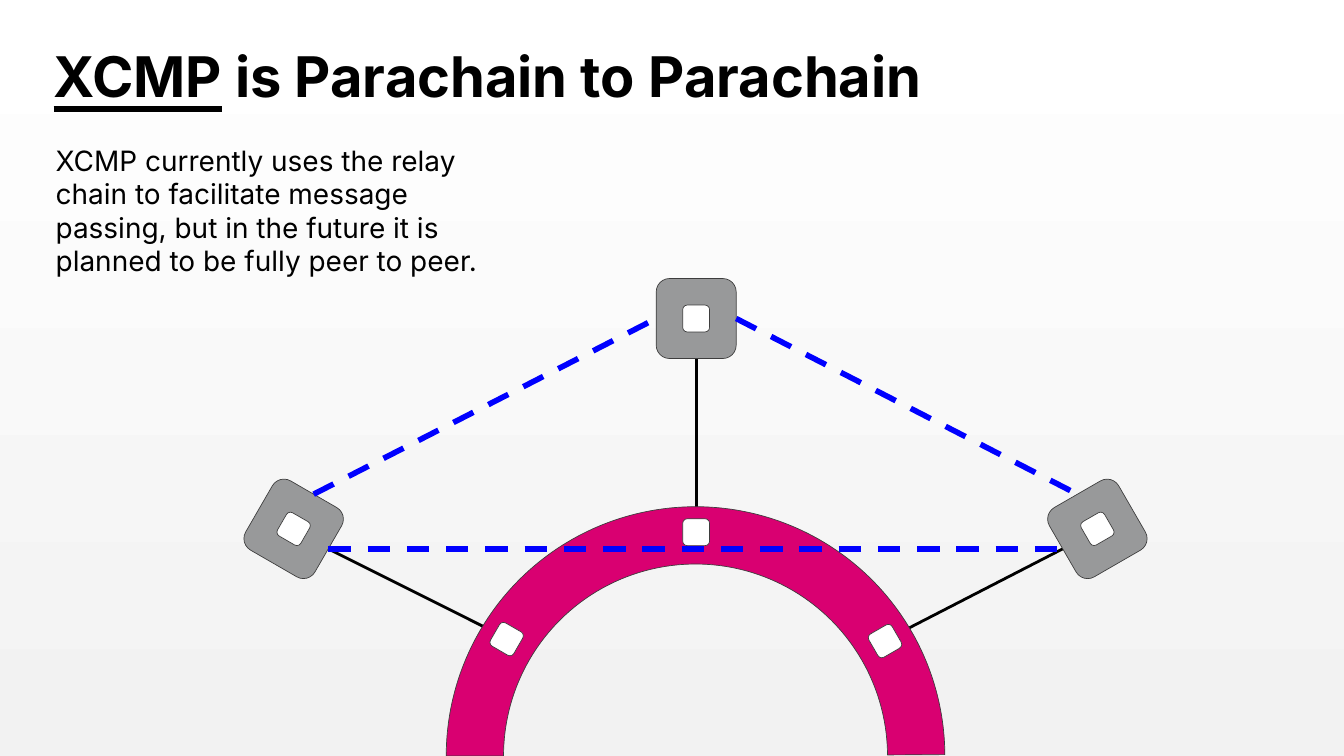
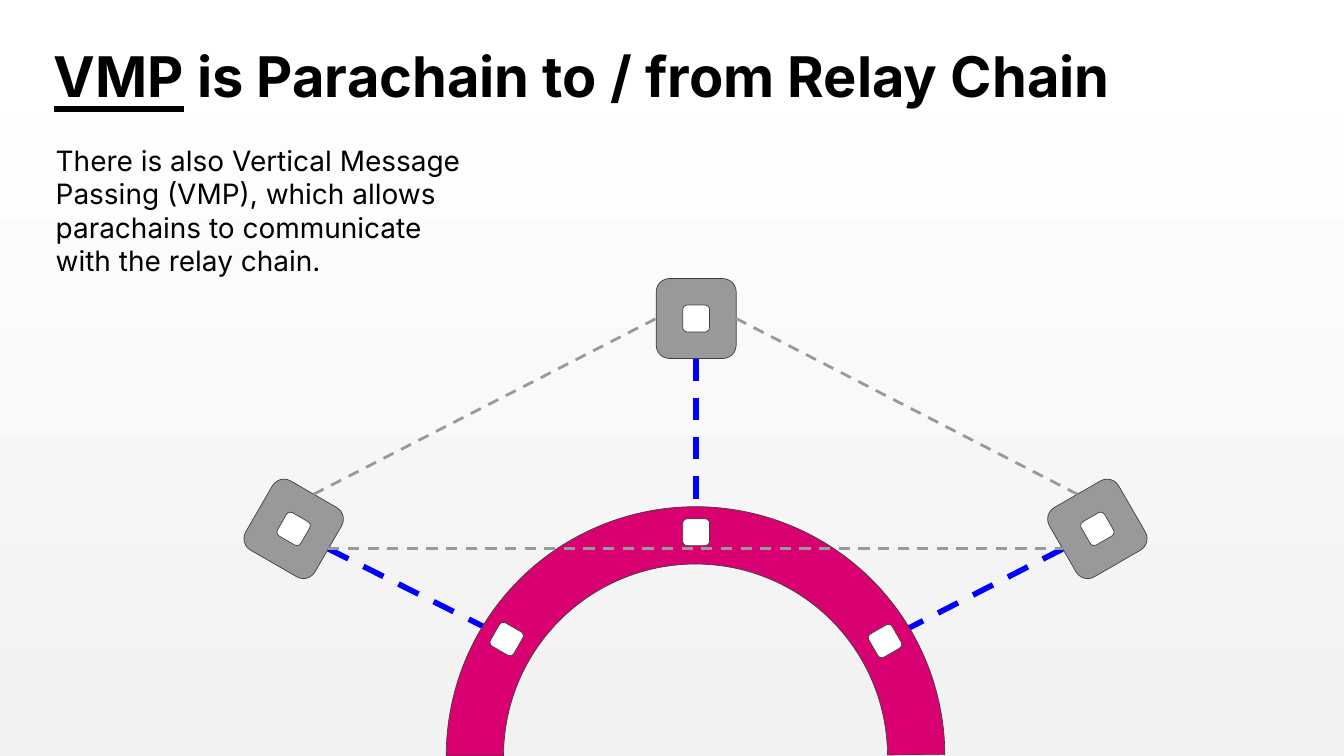
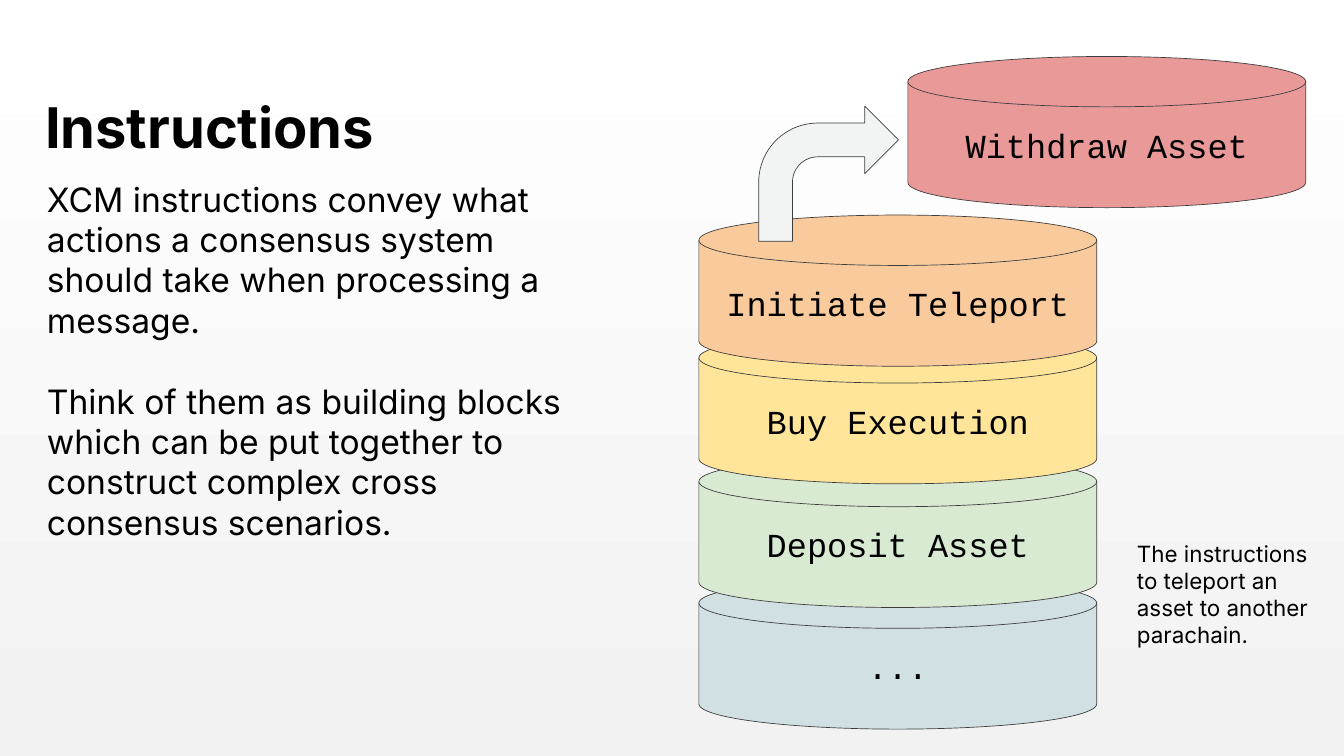
from dataclasses import dataclass
from math import cos, radians, sin

from lxml import etree
from pptx import Presentation
from pptx.dml.color import RGBColor
from pptx.enum.dml import MSO_LINE
from pptx.enum.shapes import MSO_CONNECTOR, MSO_SHAPE
from pptx.enum.text import MSO_ANCHOR, PP_ALIGN
from pptx.oxml.ns import qn
from pptx.util import Inches, Pt

ROUNDED, ARC = MSO_SHAPE.ROUNDED_RECTANGLE, MSO_SHAPE.BLOCK_ARC
DISK, BENT_ARROW = MSO_SHAPE.FLOWCHART_MAGNETIC_DISK, MSO_SHAPE.BENT_ARROW
STRAIGHT, DASH = MSO_CONNECTOR.STRAIGHT, MSO_LINE.DASH
TOP, MIDDLE = MSO_ANCHOR.TOP, MSO_ANCHOR.MIDDLE
LEFT, CENTER = PP_ALIGN.LEFT, PP_ALIGN.CENTER

# Connection sites of a rectangle, and the direction of each from its centre
SIDE_TOP, SIDE_LEFT, SIDE_BOTTOM, SIDE_RIGHT = range(4)
DIRECTIONS = [(0, -1), (-1, 0), (0, 1), (1, 0)]


@dataclass(frozen=True)
class Theme:
    font: str = "Inter"
    code_font: str = "Courier New"
    title_size: float = 60
    large_size: float = 36
    body_size: float = 30
    note_size: float = 24
    ink: str = "000000"
    outline: str = "3D3D3D"
    outline_width: float = 0.75
    white: str = "FFFFFF"
    shade: str = "F2F2F2"
    parachain: str = "98999A"
    relay: str = "D90071"
    message: str = "0000FF"
    arrow: str = "F2F4F4"


THEME = Theme()

# Line styles: colour, width, dashed
LINK = (THEME.ink, 3, False)
ACTIVE = (THEME.message, 6, True)
FADED = (THEME.parachain, 3, True)


def rgb(value):
    return RGBColor.from_string(value)


# Slide and text
def new_slide(prs):
    s = prs.slides.add_slide(prs.slide_layouts[6])
    fill = s.background.fill
    fill.gradient()
    fill.gradient_angle = 270
    for stop, position, color in zip(fill.gradient_stops, (0.01, 1), (THEME.white, THEME.shade)):
        stop.position = position
        stop.color.rgb = rgb(color)
    return s


def write(tf, *paragraphs, lead="", size=THEME.body_size, font=THEME.font, bold=False,
          align=LEFT, anchor=TOP, spacing=None, gap=0, insets=(0.1, 0.1)):
    """Fill a text frame; lead is an underlined start of the first paragraph."""
    tf.word_wrap = True
    tf.vertical_anchor = anchor
    tf.margin_left = tf.margin_right = Inches(insets[0])
    tf.margin_top = tf.margin_bottom = Inches(insets[1])
    for i, text in enumerate(paragraphs):
        p = tf.add_paragraph() if i else tf.paragraphs[0]
        p.alignment = align
        p.line_spacing = spacing
        if i:
            p.space_before = Pt(gap)
        runs = [(lead, True), (text, False)] if lead and not i else [(text, False)]
        for content, underlined in runs:
            r = p.add_run()
            r.text = content
            r.font.name, r.font.size, r.font.bold = font, Pt(size), bold
            r.font.underline = underlined
            r.font.color.rgb = rgb(THEME.ink)


def add_text(s, box, *paragraphs, **fmt):
    sp = s.shapes.add_textbox(*map(Inches, box))
    write(sp.text_frame, *paragraphs, **fmt)


def add_title(s, text, left=0.73, top=0.77, **fmt):
    add_text(s, (left, top, 17.84, 2.73), text, size=THEME.title_size, bold=True,
             spacing=0.8, insets=(0.07, 0.04), **fmt)


# Shapes and connectors
def add_shape(s, kind, box, fill, rotation=0):
    sp = s.shapes.add_shape(kind, *map(Inches, box))
    sp.shadow.inherit = False
    sp.rotation = rotation
    sp.fill.solid()
    sp.fill.fore_color.rgb = rgb(fill)
    sp.line.color.rgb = rgb(THEME.outline)
    sp.line.width = Pt(THEME.outline_width)
    return sp


def add_square(s, center, size, fill, rotation):
    x, y = center
    return add_shape(s, ROUNDED, (x - size / 2, y - size / 2, size, size), fill, rotation)


def side_point(sp, side):
    """Middle of a side of a square, with its rotation applied."""
    dx, dy = DIRECTIONS[side]
    a, half = radians(sp.rotation), sp.width / 2
    return (int(sp.left + half + half * (dx * cos(a) - dy * sin(a))),
            int(sp.top + half + half * (dx * sin(a) + dy * cos(a))))


def join(s, start, start_side, end, end_side, style, behind=False):
    color, width, dashed = style
    line = s.shapes.add_connector(STRAIGHT, 0, 0, 0, 0)
    line.begin_connect(start, start_side)
    line.end_connect(end, end_side)
    # Connecting ignores rotation, so the ends are placed afterwards
    line.begin_x, line.begin_y = side_point(start, start_side)
    line.end_x, line.end_y = side_point(end, end_side)
    line.line.color.rgb = rgb(color)
    line.line.width = Pt(width)
    if dashed:
        line.line.dash_style = DASH
    el = line._element
    etree.SubElement(el.spPr, qn("a:effectLst"))
    if behind:
        el.getparent().insert(2, el)


# Relay chain diagram
def add_network(s, vertical_style, peer_style):
    centers = [(4.37, 7.87), (10.36, 4.74), (16.33, 7.87)]
    parachains = [add_square(s, c, 1.19, THEME.parachain, rotation)
                  for c, rotation in zip(centers, (30, 0, 330))]
    ring = add_shape(s, ARC, (6.64, 7.54, 7.42, 7.42), THEME.relay)
    for i, value in enumerate((108, 215.81, 0.115)):
        ring.adjustments[i] = value

    slot_centers = [(7.54, 9.51), (10.36, 7.92), (13.17, 9.54)]
    turns = (300, 0, 60)
    slots = [add_square(s, c, 0.4, THEME.white, turn) for c, turn in zip(slot_centers, turns)]

    for parachain, side, slot in zip(parachains, (SIDE_RIGHT, SIDE_BOTTOM, SIDE_LEFT), slots):
        join(s, parachain, side, slot, SIDE_TOP, vertical_style, behind=True)
    west, north, east = parachains
    join(s, west, SIDE_TOP, north, SIDE_LEFT, peer_style)
    join(s, north, SIDE_RIGHT, east, SIDE_TOP, peer_style)
    join(s, west, SIDE_RIGHT, east, SIDE_LEFT, peer_style)
    for c, turn in zip(centers, turns):
        add_square(s, c, 0.4, THEME.white, turn)


def network_slide(prs, lead, title, body, body_width, vertical_style, peer_style):
    s = new_slide(prs)
    add_title(s, title, lead=lead)
    add_network(s, vertical_style, peer_style)
    add_text(s, (0.73, 2.03, body_width, 2.22), body)


# Instruction stack
def instructions_slide(prs):
    s = new_slide(prs)
    add_title(s, "Instructions", left=0.6, top=0.6, anchor=MIDDLE)
    add_text(s, (0.6, 2.56, 8.52, 5.66),
             "XCM instructions convey what actions a consensus system should take "
             "when processing a message.",
             "Think of them as building blocks which can be put together to construct "
             "complex cross consensus scenarios.",
             size=THEME.large_size, gap=43.5)
    add_text(s, (16.82, 7.94, 2.82, 1.82),
             "The instructions to teleport an asset to another parachain.",
             size=THEME.note_size)
    disks = [
        ("...", 10.4, 8.6, "D0E0E3"),
        ("Deposit Asset", 10.4, 6.79, "D9EAD3"),
        ("Buy Execution", 10.4, 4.95, "FFE599"),
        ("Initiate Teleport", 10.4, 3.2, "F9CB9C"),
        ("Withdraw Asset", 13.51, 0.84, "EA9999"),
    ]
    for label, left, top, color in disks:
        sp = add_shape(s, DISK, (left, top, 5.92, 2.25), color)
        write(sp.text_frame, label, size=THEME.large_size, font=THEME.code_font,
              align=CENTER, anchor=MIDDLE)
    add_shape(s, BENT_ARROW, (11.29, 1.58, 2.08, 2.01), THEME.arrow)


def main():
    prs = Presentation()
    prs.slide_width, prs.slide_height = Inches(20), Inches(11.25)
    network_slide(prs, "XCMP", " is Parachain to Parachain",
                  "XCMP currently uses the relay chain to facilitate message passing, "
                  "but in the future it is planned to be fully peer to peer.",
                  6.8, LINK, ACTIVE)
    network_slide(prs, "VMP", " is Parachain to / from Relay Chain",
                  "There is also Vertical Message Passing (VMP), which allows parachains "
                  "to communicate with the relay chain.",
                  6.39, ACTIVE, FADED)
    instructions_slide(prs)
    prs.save("out.pptx")


if __name__ == "__main__":
    main()
